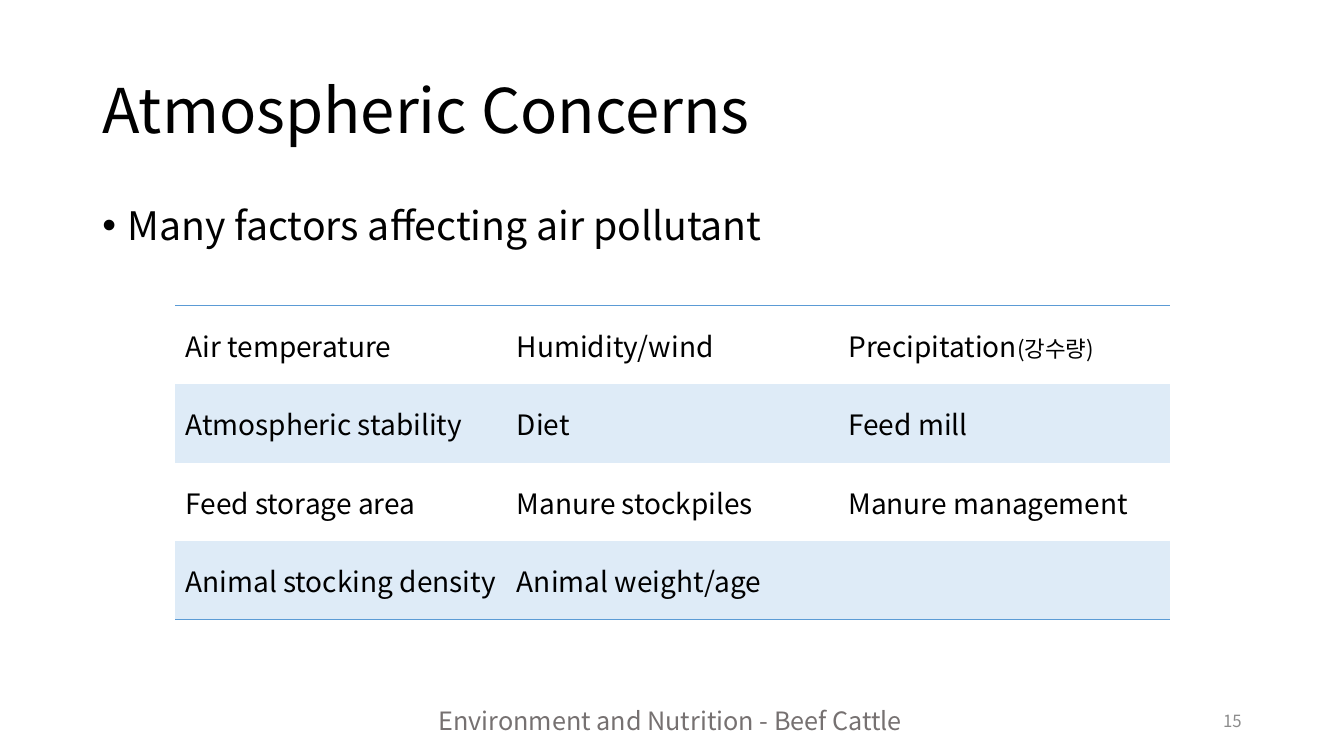
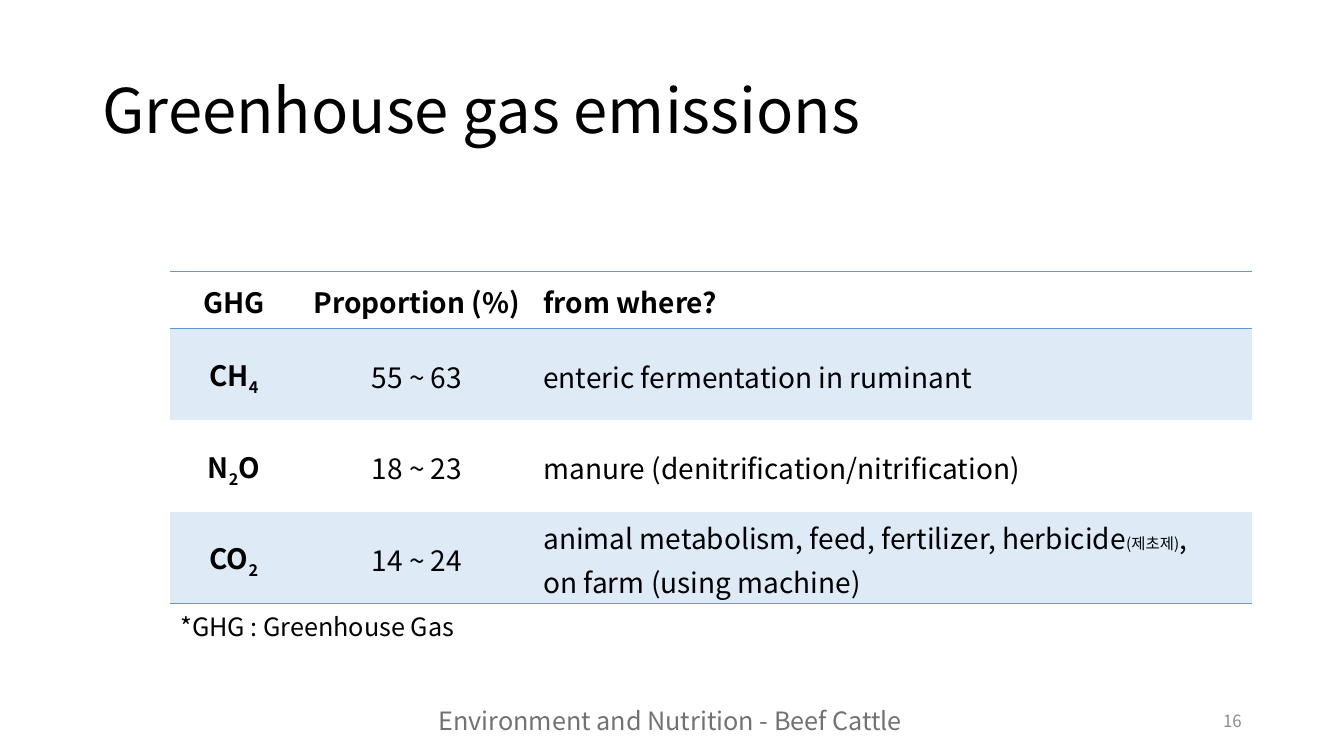
"""Build two slides on air concerns and greenhouse gases in beef cattle."""
from collections import namedtuple
from lxml.etree import SubElement
from pptx import Presentation
from pptx.dml.color import RGBColor
from pptx.enum.text import MSO_ANCHOR, PP_ALIGN
from pptx.oxml.ns import qn
from pptx.util import Inches, Pt

BLACK = RGBColor(0x00, 0x00, 0x00)
GREY = RGBColor(0x76, 0x71, 0x71)
PALE = RGBColor(0x8C, 0x8C, 0x8C)
BLUE = RGBColor(0x5B, 0x9B, 0xD5)
TINT = RGBColor(0xDE, 0xEB, 0xF7)
FONT = "Noto Sans CJK KR"
FOOTER = "Environment and Nutrition - Beef Cattle"
PLAIN = "{2D5ABB26-0587-4C30-8999-92F81FD0307C}"
LEFT, MID, RIGHT = PP_ALIGN.LEFT, PP_ALIGN.CENTER, PP_ALIGN.RIGHT

Bit = namedtuple("Bit", "text size base", defaults=(None, 0))


class Deck:
    def __init__(self):
        self.prs = Presentation()
        self.prs.slide_width = Inches(13.33)
        self.prs.slide_height = Inches(7.5)
        self.slide = None

    def across(self, share):
        return round(self.prs.slide_width * share / 100)

    def down(self, share):
        return round(self.prs.slide_height * share / 100)

    def page(self, title, number):
        self.slide = self.prs.slides.add_slide(self.prs.slide_layouts[6])
        self.text((6.88, 5.33, 86.25, 19.33), title, 44, anchor=MSO_ANCHOR.MIDDLE, gap=0.9)
        self.text((70.63, 92.67, 22.5, 5.33), str(number), 12, PALE, RIGHT, MSO_ANCHOR.MIDDLE)
        self.text((31.88, 92.67, 36.22, 5.33), FOOTER, 18, GREY)

    def fill(self, frame, lines, size, color=BLACK, align=LEFT, gap=None, bold=False):
        for i, line in enumerate(lines):
            para = frame.paragraphs[0] if i == 0 else frame.add_paragraph()
            para.alignment = align
            para.line_spacing = gap
            for bit in [Bit(line)] if isinstance(line, str) else line:
                run = para.add_run()
                run.text = bit.text
                font = run.font
                font.name, font.size, font.bold = FONT, Pt(bit.size or size), bold
                font.color.rgb = color
                props = run._r.get_or_add_rPr()
                SubElement(props, qn("a:ea"), typeface=FONT)
                if bit.base:
                    props.set("baseline", str(bit.base * 1000))

    def text(self, area, words, size, color=BLACK, align=LEFT, anchor=MSO_ANCHOR.TOP, gap=None):
        x, y, w, h = area
        box = self.slide.shapes.add_textbox(
            self.across(x), self.down(y), self.across(w), self.down(h))
        frame = box.text_frame
        frame.word_wrap = True
        frame.vertical_anchor = anchor
        self.fill(frame, [words], size, color, align, gap)
        return frame

    def bullet(self, area, words):
        para = self.text(area, words, 28, gap=0.9).paragraphs[0]
        para.space_before = Pt(10)
        props = para._p.get_or_add_pPr()
        props.set("marL", str(Inches(0.25)))
        props.set("indent", str(-Inches(0.25)))
        SubElement(props, qn("a:buFont"), typeface="Arial")
        SubElement(props, qn("a:buChar"), char="•")

    def rule(self, cell, side):
        line = SubElement(cell._tc.get_or_add_tcPr(), qn("a:ln" + side), w=str(Pt(1)))
        SubElement(SubElement(line, qn("a:solidFill")), qn("a:srgbClr"), val=str(BLUE))

    def table(self, x, y, cols, tall, rows, aligns, head=False):
        shape = self.slide.shapes.add_table(
            len(rows), len(cols), self.across(x), self.down(y),
            self.across(sum(cols)), self.down(sum(tall)))
        grid = shape.table
        grid.first_row = head
        grid.horz_banding = False
        grid._tbl.tblPr.find(qn("a:tableStyleId")).text = PLAIN
        for col, width in zip(grid.columns, cols):
            col.width = self.across(width)
        last = len(rows) - 1
        for r, row in enumerate(rows):
            grid.rows[r].height = self.down(tall[r])
            for c, words in enumerate(row):
                cell = grid.cell(r, c)
                cell.vertical_anchor = MSO_ANCHOR.MIDDLE
                if head:
                    cell.margin_left = cell.margin_right = Inches(0.07)
                    cell.margin_top = cell.margin_bottom = 0
                if r == 0:
                    self.rule(cell, "T")
                if r == last or head and r == 0:
                    self.rule(cell, "B")
                if r % 2:
                    cell.fill.solid()
                    cell.fill.fore_color.rgb = TINT
                else:
                    cell.fill.background()
                lines = words if isinstance(words, list) else [words]
                self.fill(cell.text_frame, lines, 20, align=aligns[c],
                          gap=1.07 if head else None, bold=head and 0 in (r, c))


def main():
    deck = Deck()

    deck.page("Atmospheric Concerns", 15)
    deck.bullet((6.88, 26.67, 86.25, 63.47), "Many factors affecting air pollutant")
    deck.table(13.05, 40.4, [24.66] * 3, [10.4] * 4, [
        ["Air temperature", "Humidity/wind", (Bit("Precipitation"), Bit("(강수량)", 16))],
        ["Atmospheric stability", "Diet", "Feed mill"],
        ["Feed storage area", "Manure stockpiles", "Manure management"],
        ["Animal stocking density", "Animal weight/age", []],
    ], [LEFT] * 3)

    deck.page("Greenhouse gas emissions", 16)
    two = Bit("2", base=-25)
    deck.table(12.68, 35.87, [9.45, 17.78, 53.26], [7.6] + [12.13] * 3, [
        ["GHG", "Proportion (%)", "from where?"],
        [(Bit("CH"), Bit("4", base=-25)), "55 ~ 63", "enteric fermentation in ruminant"],
        [(Bit("N"), two, Bit("O")), "18 ~ 23", "manure (denitrification/nitrification)"],
        [(Bit("CO"), two), "14 ~ 24", [
            (Bit("animal metabolism, feed, fertilizer, herbicide"), Bit("(제초제)", 11), Bit(",")),
            "on farm (using machine)"]],
    ], [MID, MID, LEFT], head=True)
    deck.text((12.68, 80.27, 58.29, 5.33), "*GHG : Greenhouse Gas", 18)

    deck.prs.save("out.pptx")


if __name__ == "__main__":
    main()
